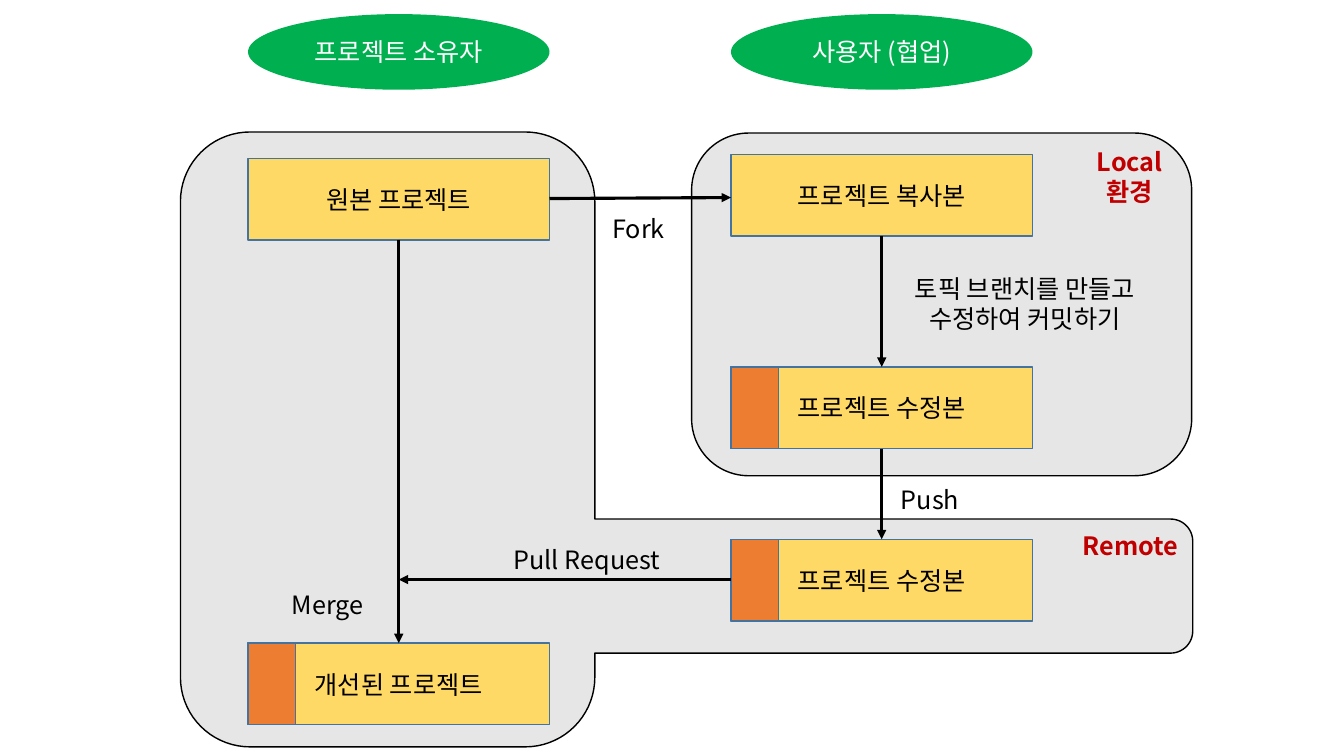
from math import cos, radians, sin

from lxml import etree
from pptx import Presentation
from pptx.dml.color import RGBColor
from pptx.enum.shapes import MSO_CONNECTOR, MSO_SHAPE
from pptx.enum.text import MSO_ANCHOR, PP_ALIGN
from pptx.oxml.ns import qn
from pptx.util import Inches, Pt

RECTANGLE, ROUNDED, OVAL = MSO_SHAPE.RECTANGLE, MSO_SHAPE.ROUNDED_RECTANGLE, MSO_SHAPE.OVAL
STRAIGHT = MSO_CONNECTOR.STRAIGHT
CENTER, MIDDLE = PP_ALIGN.CENTER, MSO_ANCHOR.MIDDLE
FONT = "Noto Sans CJK KR"
COLORS = {
    "area": "E7E6E6", "project": "FFD966", "change": "ED7D31", "border": "43739E",
    "role": "00B050", "black": "000000", "white": "FFFFFF", "place": "C00000",
}
BOX_WIDTH, BOX_HEIGHT = 2.99, 0.81
CHANGE_WIDTH = 0.47
ROLE_HEIGHT = 0.75


def color(name):
    return RGBColor.from_string(COLORS[name])


def style_shape(shape, fill, line=None):
    shape.shadow.inherit = False
    shape.fill.solid()
    shape.fill.fore_color.rgb = color(fill)
    if line:
        shape.line.color.rgb = color(line)
        shape.line.width = Pt(1)
    else:
        shape.line.fill.background()


def write_text(shape, lines, font_color, bold=False):
    frame = shape.text_frame
    frame.word_wrap = True
    frame.text = lines
    for paragraph in frame.paragraphs:
        paragraph.alignment = CENTER
        font = paragraph.font
        font.name, font.size, font.bold = FONT, Pt(18), bold
        font.color.rgb = color(font_color)
        properties = paragraph._p.pPr.find(qn("a:defRPr"))
        etree.SubElement(properties, qn("a:ea"), typeface=FONT)


def add_block(slide, kind, box, fill, line=None, text=None, font_color="black"):
    shape = slide.shapes.add_shape(kind, *map(Inches, box))
    style_shape(shape, fill, line)
    if text:
        write_text(shape, text, font_color)
        shape.text_frame.vertical_anchor = MIDDLE


def add_label(slide, box, text, font_color="black", bold=False):
    write_text(slide.shapes.add_textbox(*map(Inches, box)), text, font_color, bold)


def add_arrow(slide, start, end):
    arrow = slide.shapes.add_connector(STRAIGHT, *map(Inches, (*start, *end)))
    arrow.line.color.rgb = color("black")
    arrow.line.width = Pt(2.25)
    etree.SubElement(arrow.line._get_or_add_ln(), qn("a:tailEnd"), type="triangle")
    etree.SubElement(arrow._element.spPr, qn("a:effectLst"))


def add_project(slide, left, top, text, changed=False):
    add_block(slide, RECTANGLE, (left, top, BOX_WIDTH, BOX_HEIGHT), "project", "border", text)
    if changed:
        add_block(slide, RECTANGLE, (left, top, CHANGE_WIDTH, BOX_HEIGHT), "change", "border")


def corner(center_x, center_y, radius, start_angle):
    """Points of a clockwise quarter circle."""
    angles = [radians(start_angle + step * 5) for step in range(19)]
    return [(center_x + radius * cos(a), center_y + radius * sin(a)) for a in angles]


def draw_remote_area(slide, left, top, width, height):
    """Tall rounded column with an arm to the right."""
    column, radius, arm_radius = left + 4.11, 0.69, 0.22
    right, bottom = left + width, top + height
    arm_top, arm_bottom = top + 3.84, top + 5.17
    points = [
        *corner(left + radius, top + radius, radius, 180),
        *corner(column - radius, top + radius, radius, 270),
        (column, arm_top),
        *corner(right - arm_radius, arm_top + arm_radius, arm_radius, 270),
        *corner(right - arm_radius, arm_bottom - arm_radius, arm_radius, 0),
        (column, arm_bottom),
        *corner(column - radius, bottom - radius, radius, 0),
        *corner(left + radius, bottom - radius, radius, 90),
    ]
    points = [(Inches(x), Inches(y)) for x, y in points]
    builder = slide.shapes.build_freeform(*points[0])
    builder.add_line_segments(points[1:], close=True)
    style_shape(builder.convert_to_shape(), "area", "black")
    add_label(slide, (left + 8.85, top + 3.9, 1.15, 0.4), "Remote", "place", True)


def draw_local_area(slide, left, top, width, height):
    add_block(slide, ROUNDED, (left, top, width, height), "area", "black")
    add_label(slide, (left + 3.89, top + 0.08, 0.91, 0.71), "Local\n환경", "place", True)


def draw_owner_column(slide, left, top):
    middle = left + BOX_WIDTH / 2
    source_top, improved_top = top + 1.43, top + 6.24
    add_block(slide, OVAL, (left, top, BOX_WIDTH, ROLE_HEIGHT), "role",
              text="프로젝트 소유자", font_color="white")
    add_project(slide, left, source_top, "원본 프로젝트")
    add_project(slide, left, improved_top, "개선된 프로젝트", changed=True)
    add_arrow(slide, (middle, source_top + BOX_HEIGHT), (middle, improved_top))
    add_label(slide, (left + 0.15, top + 5.66, 1.28, 0.4), "Merge")


def draw_user_column(slide, left, top):
    middle = left + BOX_WIDTH / 2
    copy_top, edit_top, pushed_top = top + 1.39, top + 3.5, top + 5.21
    add_block(slide, OVAL, (left, top, BOX_WIDTH, ROLE_HEIGHT), "role",
              text="사용자 (협업)", font_color="white")
    add_project(slide, left, copy_top, "프로젝트 복사본")
    for project_top in (edit_top, pushed_top):
        add_project(slide, left, project_top, "프로젝트 수정본", changed=True)
    for start, end in ((copy_top, edit_top), (edit_top, pushed_top)):
        add_arrow(slide, (middle, start + BOX_HEIGHT), (middle, end))
    add_label(slide, (middle, top + 2.52, 2.84, 0.71), "토픽 브랜치를 만들고\n수정하여 커밋하기")
    add_label(slide, (left + 1.45, top + 4.62, 1.05, 0.4), "Push")


def draw_exchange(slide, owner_left, user_left, top):
    """Fork and pull request between the two columns."""
    add_arrow(slide, (owner_left + BOX_WIDTH, top + 1.83), (user_left, top + 1.82))
    add_label(slide, (owner_left + 3.35, top + 1.93, 1.05, 0.4), "Fork")
    request_y = top + 5.61
    add_arrow(slide, (user_left, request_y), (owner_left + BOX_WIDTH / 2, request_y))
    add_label(slide, (owner_left + 2.4, request_y - 0.4, 1.92, 0.4), "Pull Request")


presentation = Presentation()
presentation.slide_width, presentation.slide_height = Inches(13.33), Inches(7.5)
slide = presentation.slides.add_slide(presentation.slide_layouts[6])

OWNER_LEFT, USER_LEFT, TOP = 2.46, 7.25, 0.14
draw_remote_area(slide, 1.79, 1.31, 10.04, 6.1)
draw_local_area(slide, 6.86, 1.32, 4.96, 3.4)
draw_owner_column(slide, OWNER_LEFT, TOP)
draw_user_column(slide, USER_LEFT, TOP)
draw_exchange(slide, OWNER_LEFT, USER_LEFT, TOP)

presentation.save("out.pptx")
